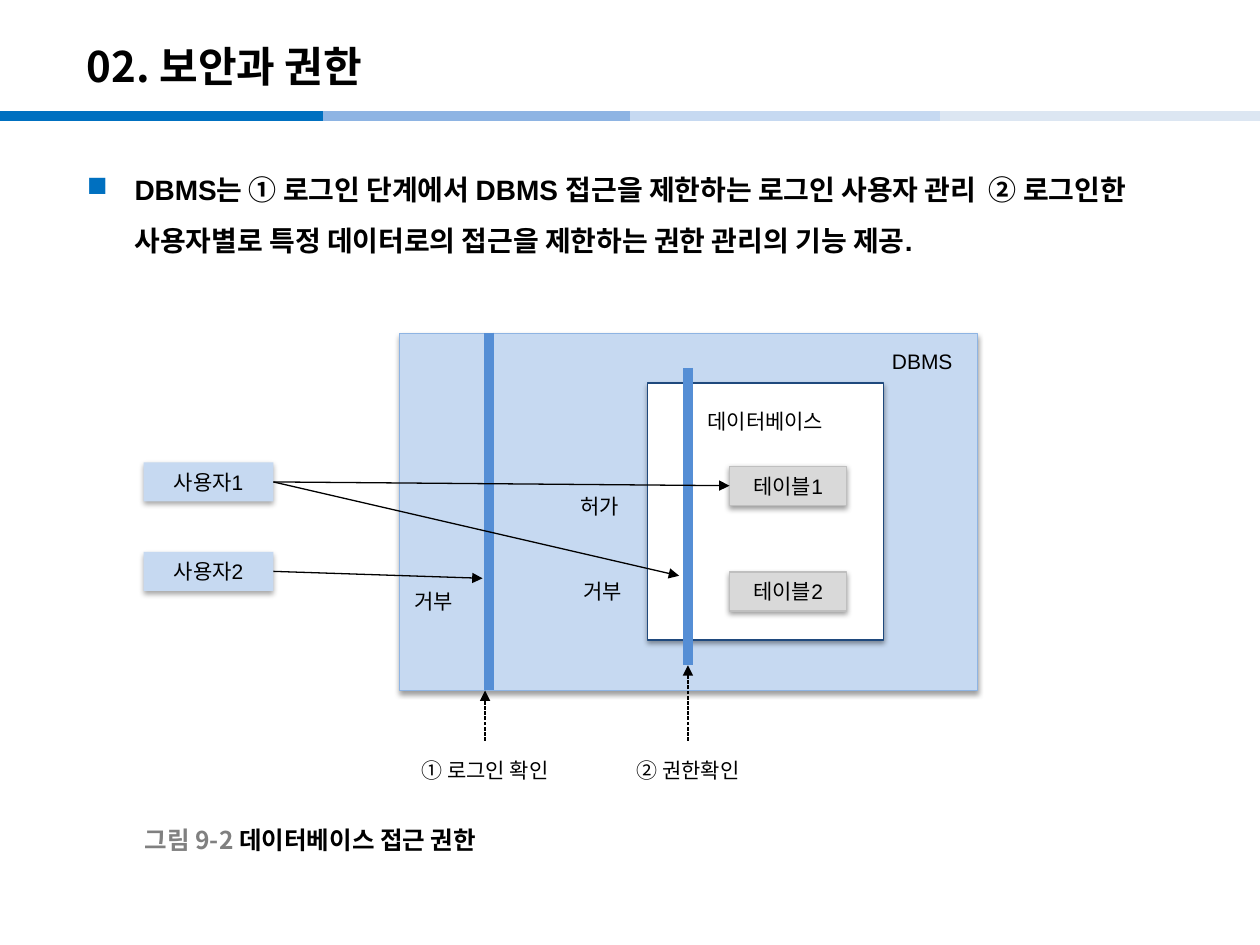
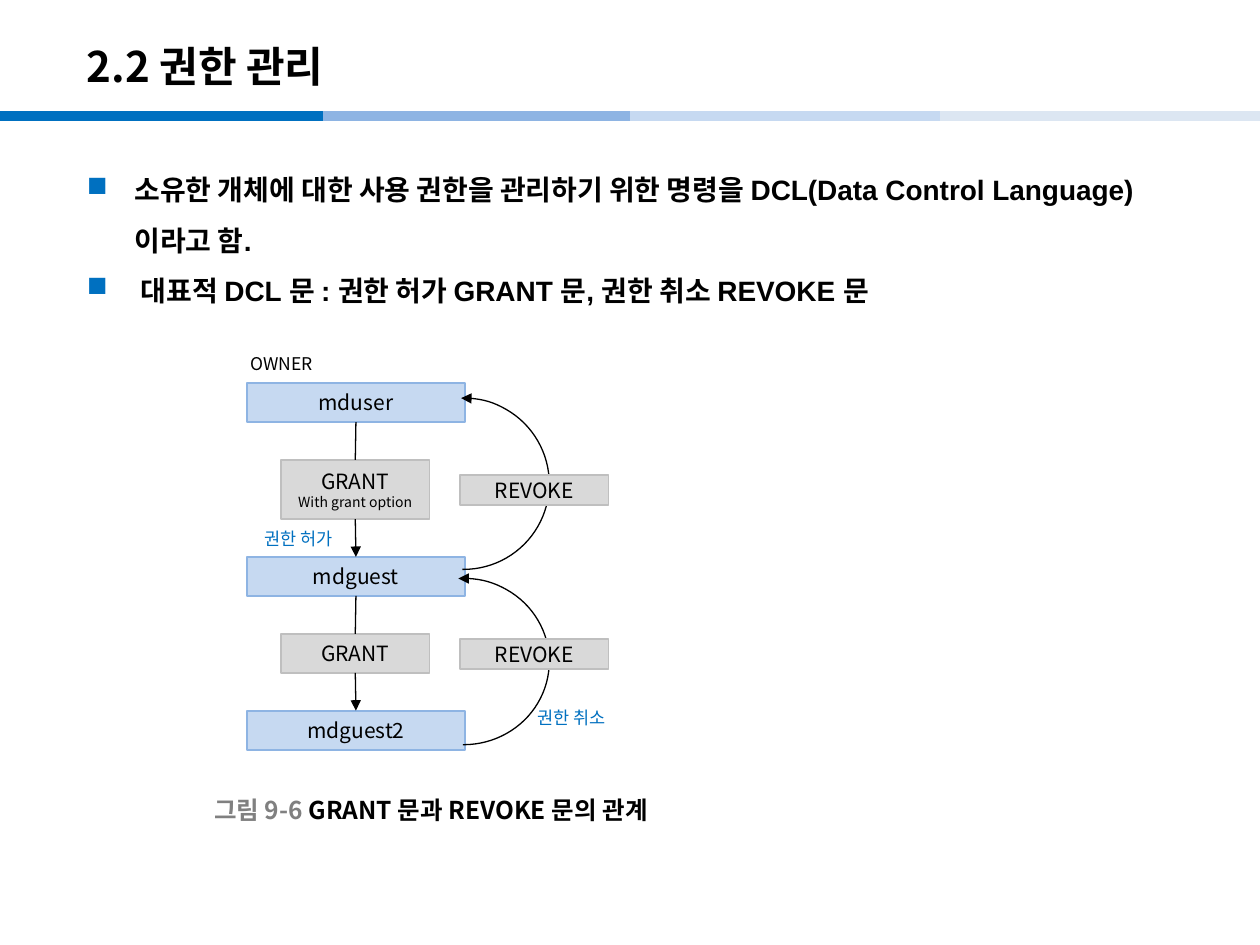
"""Build two slides on database security and permission management."""
import dataclasses

import lxml.etree
import pptx
import pptx.dml.color
import pptx.enum.dml
import pptx.enum.shapes
import pptx.enum.text
import pptx.oxml.ns
import pptx.util

Inches = pptx.util.Inches
Pt = pptx.util.Pt
RGB = pptx.dml.color.RGBColor.from_string
qn = pptx.oxml.ns.qn
SubElement = lxml.etree.SubElement
Shape = pptx.enum.shapes.MSO_SHAPE
Anchor = pptx.enum.text.MSO_ANCHOR
Align = pptx.enum.text.PP_ALIGN
AutoSize = pptx.enum.text.MSO_AUTO_SIZE


@dataclasses.dataclass(frozen=True)
class Theme:
    black: str = "000000"
    white: str = "FFFFFF"
    accent: str = "0070C0"
    barrier: str = "558ED5"
    navy: str = "1F497D"
    blue: str = "8EB4E3"
    pale_blue: str = "C6D9F1"
    faint_blue: str = "DCE6F2"
    gray: str = "D9D9D9"
    gray_edge: str = "BFBFBF"
    caption_gray: str = "808080"
    latin: str = "Arial"
    korean: str = "Noto Sans CJK KR"
    title: int = 24
    body: int = 16
    caption: int = 14
    label: int = 12
    small: int = 10
    tiny: int = 8


theme = Theme()


def add_box(slide, at, paragraphs, size=theme.label, font=theme.korean, bold=False,
            fill=None, edge=None, edge_width=0.75, shadow=None, preset=Shape.RECTANGLE,
            align=Align.CENTER, anchor=Anchor.MIDDLE, wrap=True, grow=False):
    """Add a filled shape or text box; each paragraph is a list of (text, overrides)."""
    place = [Inches(value) for value in at]
    if fill:
        shape = slide.shapes.add_shape(preset, *place)
        shape.fill.solid()
        shape.fill.fore_color.rgb = RGB(fill)
        if edge:
            shape.line.color.rgb = RGB(edge)
            shape.line.width = Pt(edge_width)
        else:
            shape.line.fill.background()
        shape.shadow.inherit = False
        if shadow:
            effects = shape._element.spPr.find(qn("a:effectLst"))
            outer = SubElement(effects, qn("a:outerShdw"), blurRad="40000", dist="20000",
                               dir="5400000", rotWithShape="0")
            color = SubElement(outer, qn("a:srgbClr"), val=theme.black)
            SubElement(color, qn("a:alpha"), val=str(shadow * 1000))
    else:
        shape = slide.shapes.add_textbox(*place)
    frame = shape.text_frame
    frame.word_wrap = wrap
    frame.auto_size = AutoSize.SHAPE_TO_FIT_TEXT if grow else AutoSize.NONE
    frame.vertical_anchor = anchor
    for index, runs in enumerate(paragraphs):
        paragraph = frame.add_paragraph() if index else frame.paragraphs[0]
        paragraph.alignment = align
        for text, overrides in runs:
            run = paragraph.add_run()
            run.text = text
            run.font.size = Pt(overrides.get("size", size))
            run.font.bold = bold
            run.font.color.rgb = RGB(overrides.get("color", theme.black))
            run.font.name = font
            SubElement(run._r.get_or_add_rPr(), qn("a:ea"), typeface=theme.korean)
    return shape


def add_line(slide, start, end, color=theme.black, width=0.75, arrow=False, dashed=False,
             source=None, target=None):
    """Add a straight line, joined to (shape, side) pairs where given."""
    connector = slide.shapes.add_connector(
        pptx.enum.shapes.MSO_CONNECTOR.STRAIGHT, *[Inches(value) for value in (*start, *end)])
    if source:
        connector.begin_connect(*source)
    if target:
        connector.end_connect(*target)
    connector.line.color.rgb = RGB(color)
    connector.line.width = Pt(width)
    if dashed:
        connector.line.dash_style = pptx.enum.dml.MSO_LINE.SQUARE_DOT
    if arrow:
        SubElement(connector._element.spPr.find(qn("a:ln")), qn("a:tailEnd"), type="triangle")
    SubElement(connector._element.spPr, qn("a:effectLst"))


presentation = pptx.Presentation()
presentation.slide_width = Inches(10)
presentation.slide_height = Inches(7.5)

bands = [(0, theme.accent), (2.56, theme.blue), (5, theme.pale_blue), (7.46, theme.faint_blue)]
contents = [
    ("02. 보안과 권한",
     ["DBMS는 ① 로그인 단계에서 DBMS 접근을 제한하는 로그인 사용자 관리  ② 로그인한 "
      "사용자별로 특정 데이터로의 접근을 제한하는 권한 관리의 기능 제공."],
     (1.05, 6.51), "그림 9-2 ", "데이터베이스 접근 권한"),
    ("2.2 권한 관리",
     ["소유한 개체에 대한 사용 권한을 관리하기 위한 명령을 DCL(Data Control Language)이라고 함.",
      " 대표적 DCL 문 : 권한 허가 GRANT 문, 권한 취소 REVOKE 문"],
     (1.6, 6.27), "그림 9-6 ", "GRANT 문과 REVOKE 문의 관계"),
]
slides = []
for title, bullets, caption_at, figure_number, figure_name in contents:
    slide = presentation.slides.add_slide(presentation.slide_layouts[6])
    slides.append(slide)
    for left, color in bands:
        add_line(slide, (left, 0.92), (left + 2.56, 0.92), color, 6)
    add_box(slide, (0.59, 0.22, 8.27, 0.6), [[(title, {})]], theme.title, bold=True,
            align=Align.LEFT)
    body = add_box(slide, (0.59, 1.19, 8.82, 5.98), [[(text, {})] for text in bullets],
                   theme.body, theme.latin, bold=True, align=Align.LEFT, anchor=Anchor.TOP)
    for paragraph in body.text_frame.paragraphs:
        paragraph.line_spacing = 1.5
        properties = paragraph._p.get_or_add_pPr()
        properties.set("marL", str(Inches(0.38)))
        properties.set("indent", str(Inches(-0.38)))
        SubElement(SubElement(properties, qn("a:buClr")), qn("a:srgbClr"), val=theme.accent)
        SubElement(properties, qn("a:buChar"), char="■")
    add_box(slide, (*caption_at, 2.09, 0.31),
            [[(figure_number, {"color": theme.caption_gray}), (figure_name, {})]],
            theme.caption, bold=True, align=Align.LEFT, wrap=False)

access_slide, grant_slide = slides

dbms = add_box(access_slide, (3.17, 2.65, 4.59, 2.83), [[("DBMS", {})]], font=theme.latin,
               fill=theme.pale_blue, edge=theme.blue, shadow=38,
               preset=Shape.FLOWCHART_PROCESS, align=Align.RIGHT, anchor=Anchor.TOP)
dbms.text_frame.margin_right = Inches(0.2)
dbms.text_frame.margin_top = Inches(0.12)
database = add_box(access_slide, (5.14, 3.04, 1.87, 2.04), [[("데이터베이스", {})]],
                   font=theme.latin, fill=theme.white, edge=theme.navy, shadow=38,
                   anchor=Anchor.TOP)
database.text_frame.margin_top = Inches(0.2)
users = [add_box(access_slide, (1.14, top, 1.03, 0.31), [[(name, {})]], font=theme.latin,
                 fill=theme.pale_blue, shadow=35)
         for name, top in (("사용자1", 3.67), ("사용자2", 4.38))]
for x, top, bottom in ((3.88, 2.64, 5.48), (5.46, 2.92, 5.28)):
    add_line(access_slide, (x, top), (x, bottom), theme.barrier, 6)
tables = [add_box(access_slide, (5.79, top, 0.93, 0.31), [[(name, {})]], font=theme.latin,
                  fill=theme.gray, edge=theme.gray_edge, shadow=38)
          for name, top in (("테이블1", 3.7), ("테이블2", 4.54))]
for user, start, end, target in (
        (users[0], (2.17, 3.83), (5.79, 3.85), (tables[0], 1)),
        (users[0], (2.17, 3.83), (5.39, 4.57), None),
        (users[1], (2.17, 4.54), (3.83, 4.59), None)):
    add_line(access_slide, start, end, arrow=True, source=(user, 3), target=target)
for text, left, width, x, barrier_bottom in (("① 로그인 확인", 3.13, 1.44, 3.85, 5.48),
                                             ("② 권한확인", 4.7, 1.52, 5.46, 5.28)):
    add_box(access_slide, (left, 5.88, width, 0.47), [[(text, {})]], font=theme.latin)
    add_line(access_slide, (x, 5.88), (x, barrier_bottom), arrow=True, dashed=True)
for text, left, top in (("허가", 4.51, 3.87), ("거부", 4.53, 4.54), ("거부", 3.19, 4.62)):
    add_box(access_slide, (left, top, 0.54, 0.3), [[(text, {})]], align=Align.LEFT,
            anchor=Anchor.TOP, wrap=False, grow=True)

account_style = dict(fill=theme.pale_blue, edge=theme.blue, edge_width=1)
command_style = dict(fill=theme.gray, edge=theme.gray_edge, edge_width=1)
steps = [
    ([[("mduser", {})]], 1.96, 1.73, 0.31, account_style),
    ([[("GRANT", {})], [("With grant option", {"size": theme.tiny})]],
     2.23, 1.18, 0.47, command_style),
    ([[("mdguest", {})]], 1.96, 1.73, 0.31, account_style),
    ([[("GRANT", {})]], 2.23, 1.18, 0.31, command_style),
    ([[("mdguest2", {})]], 1.96, 1.73, 0.31, account_style),
]
step_gap = 0.3
top = 3.04
previous = None
for index, (paragraphs, left, width, height, style) in enumerate(steps):
    step = add_box(grant_slide, (left, top, width, height), paragraphs, **style)
    if previous:
        add_line(grant_slide, (2.82, top - step_gap), (2.82, top), arrow=index % 2 == 0,
                 source=(previous, 2), target=(step, 0))
    previous = step
    top += height + step_gap

for arc_top, arc_height, start_angle, end_angle, revoke_top in (
        (3.16, 1.36, 161.01, 54.49, 3.77), (4.59, 1.32, 159.85, 54.35, 5.07)):
    arc = grant_slide.shapes.add_shape(
        Shape.ARC, Inches(3), Inches(arc_top), Inches(1.36), Inches(arc_height))
    arc.adjustments[0] = start_angle
    arc.adjustments[1] = end_angle
    arc.fill.background()
    arc.line.color.rgb = RGB(theme.black)
    arc.line.width = Pt(0.75)
    arc.shadow.inherit = False
    SubElement(arc._element.spPr.find(qn("a:ln")), qn("a:headEnd"), type="triangle")
    add_box(grant_slide, (3.65, revoke_top, 1.18, 0.24), [[("REVOKE", {})]], **command_style)

for text, left, top, width, color in (("OWNER", 1.89, 2.75, 0.71, theme.black),
                                      ("권한 허가", 2, 4.14, 0.81, theme.accent),
                                      ("권한 취소", 4.17, 5.56, 0.81, theme.accent)):
    add_box(grant_slide, (left, top, width, 0.27), [[(text, {"color": color})]], theme.small,
            align=Align.LEFT, anchor=Anchor.TOP, wrap=False, grow=True)

presentation.save("out.pptx")
